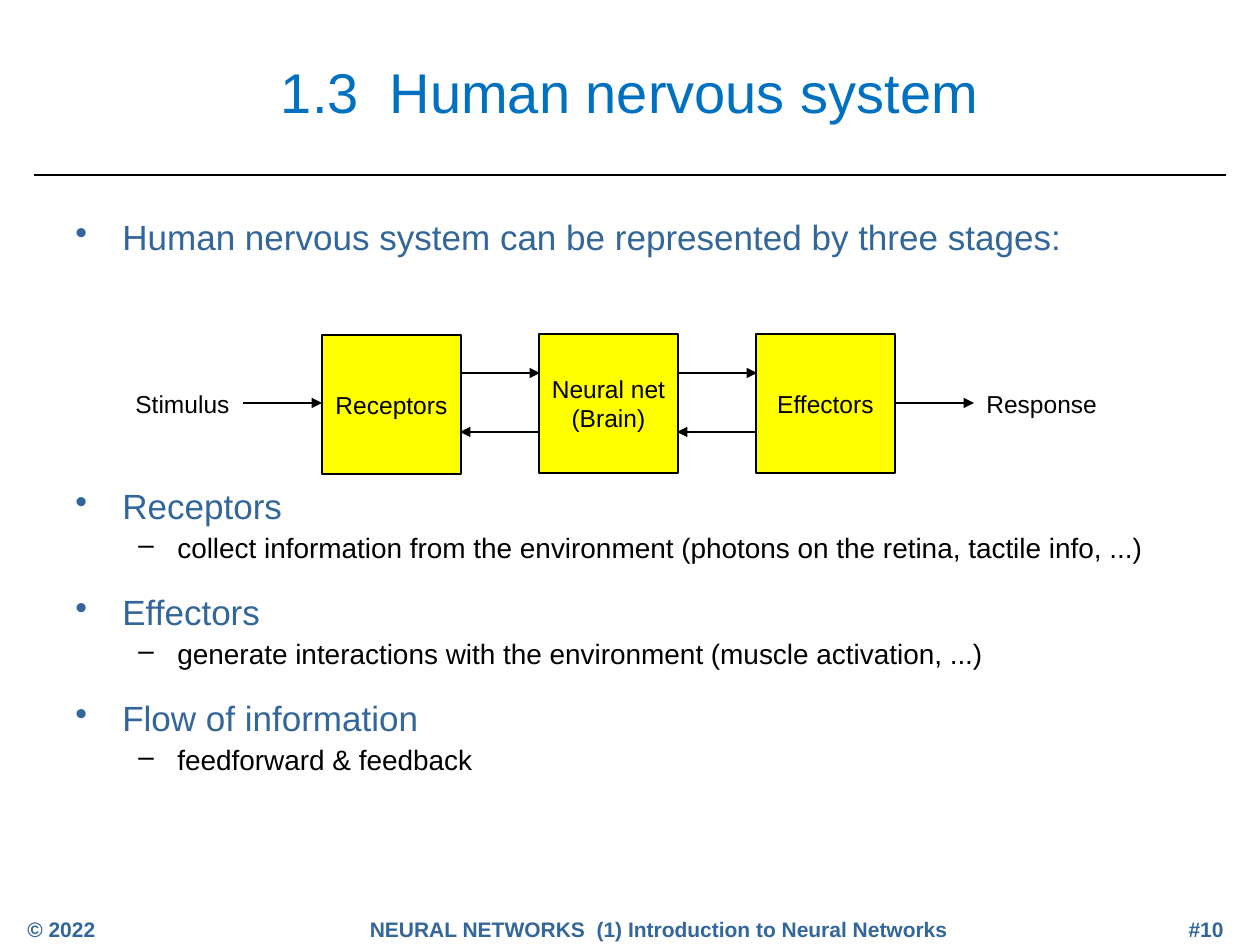
from lxml import etree
from pptx import Presentation
from pptx.dml.color import RGBColor
from pptx.enum.shapes import MSO_CONNECTOR as Connector, MSO_SHAPE as Shape
from pptx.enum.text import MSO_ANCHOR as Anchor, PP_ALIGN as Align
from pptx.oxml.ns import qn
from pptx.util import Emu, Pt

PX_PER_INCH = 126
BLUE, TITLE_BLUE, BLACK, YELLOW = "336699", "0070C0", "000000", "FFFF00"

# Outline levels: bullet, left margin and hanging indent in px, text format
LEVELS = [
    {"bullet": "•", "margin": 47, "hang": 47, "size": 20, "color": BLUE},
    {"bullet": "–", "margin": 102, "hang": 39, "size": 16, "color": BLACK},
]
# Outline: level, space before in points, text
OUTLINE = [
    (0, 0, "Human nervous system can be represented by three stages:"),
    (0, 132.4, "Receptors"),
    (1, 3.8, "collect information from the environment "
             "(photons on the retina, tactile info, ...)"),
    (0, 17.9, "Effectors"),
    (1, 3.8, "generate interactions with the environment (muscle activation, ...)"),
    (0, 17.9, "Flow of information"),
    (1, 3.8, "feedforward & feedback"),
]


def px(length):
    return Emu(round(length * 914400 / PX_PER_INCH))


def rgb(color):
    return RGBColor.from_string(color)


def style(para, size, color, **formats):
    para.font.color.rgb = rgb(color)
    for name, value in {"name": "Arial", "size": Pt(size), **formats}.items():
        setattr(para.font, name, value)


def add_text(page, area, text, size, color, align=Align.LEFT,
             anchor=Anchor.TOP, **formats):
    frame = page.shapes.add_textbox(*map(px, area)).text_frame
    frame.word_wrap = True
    frame.vertical_anchor = anchor
    para = frame.paragraphs[0]
    para.text = text
    para.alignment = align
    style(para, size, color, **formats)


def add_outline(page, area):
    frame = page.shapes.add_textbox(*map(px, area)).text_frame
    frame.word_wrap = True
    for index, (depth, gap, text) in enumerate(OUTLINE):
        level = LEVELS[depth]
        para = frame.add_paragraph() if index else frame.paragraphs[0]
        para.text = text
        para.level = depth
        para.line_spacing = 0.9
        para.space_before = Pt(gap)
        props = para._p.get_or_add_pPr()
        props.set("marL", str(px(level["margin"])))
        props.set("indent", str(-px(level["hang"])))
        etree.SubElement(props, qn("a:buChar"), char=level["bullet"])
        style(para, level["size"], level["color"])


def add_stage(page, left, top, side, text):
    box = page.shapes.add_shape(Shape.RECTANGLE, *map(px, (left, top, side, side)))
    box.shadow.inherit = False
    box.fill.solid()
    box.fill.fore_color.rgb = rgb(YELLOW)
    box.line.color.rgb = rgb(BLACK)
    box.line.width = Pt(0.75)
    frame = box.text_frame
    frame.margin_left = frame.margin_right = 0
    frame.vertical_anchor = Anchor.MIDDLE
    frame.text = text
    for para in frame.paragraphs:
        para.alignment = Align.CENTER
        style(para, 14, BLACK)


def add_line(page, start, end, y, width=0.75, arrow=True):
    line = page.shapes.add_connector(
        Connector.STRAIGHT, px(start), px(y), px(end), px(y))
    line.line.color.rgb = rgb(BLACK)
    line.line.width = Pt(width)
    if arrow:
        etree.SubElement(line.line._get_or_add_ln(), qn("a:tailEnd"), type="triangle")
    etree.SubElement(line._element.spPr, qn("a:effectLst"))


def add_diagram(page):
    side, pitch, first, gap = 139, 217, 322, 79
    stages = [("Receptors", 335), ("Neural net\n(Brain)", 334), ("Effectors", 334)]
    for index, (text, top) in enumerate(stages):
        add_stage(page, first + index * pitch, top, side, text)

    # Stimulus in and response out
    last_edge = first + 2 * pitch + side
    for start in (first - gap, last_edge):
        add_line(page, start, start + gap, 403)
    for left, text in ((123, "Stimulus"), (974, "Response")):
        add_text(page, (left, 383, 140, 42), text, 14, BLACK)

    # Feedforward above, feedback below
    for index in range(2):
        edge = first + index * pitch + side
        add_line(page, edge, edge + gap, 373)
        add_line(page, edge + gap - 1, edge - 1, 432)


def main():
    deck = Presentation()
    deck.slide_width, deck.slide_height = px(1260), px(945)
    page = deck.slides.add_slide(deck.slide_layouts[6])

    # Title and rule
    add_text(page, (63, 38, 1134, 107), "1.3  Human nervous system", 32,
             TITLE_BLUE, Align.CENTER, Anchor.MIDDLE)
    add_line(page, 34, 1226, 175, width=1.5, arrow=False)

    # Body
    add_outline(page, (63, 214, 1172, 655))
    add_diagram(page)

    # Footer
    footer = [
        (15, 339, "© 2022", Align.LEFT),
        (312, 694, "NEURAL NETWORKS  (1) Introduction to Neural Networks", Align.CENTER),
        (907, 329, "#10", Align.RIGHT),
    ]
    for left, width, text, align in footer:
        add_text(page, (left, 910, width, 30), text, 12, BLUE, align, bold=True)

    deck.save("out.pptx")


if __name__ == "__main__":
    main()
